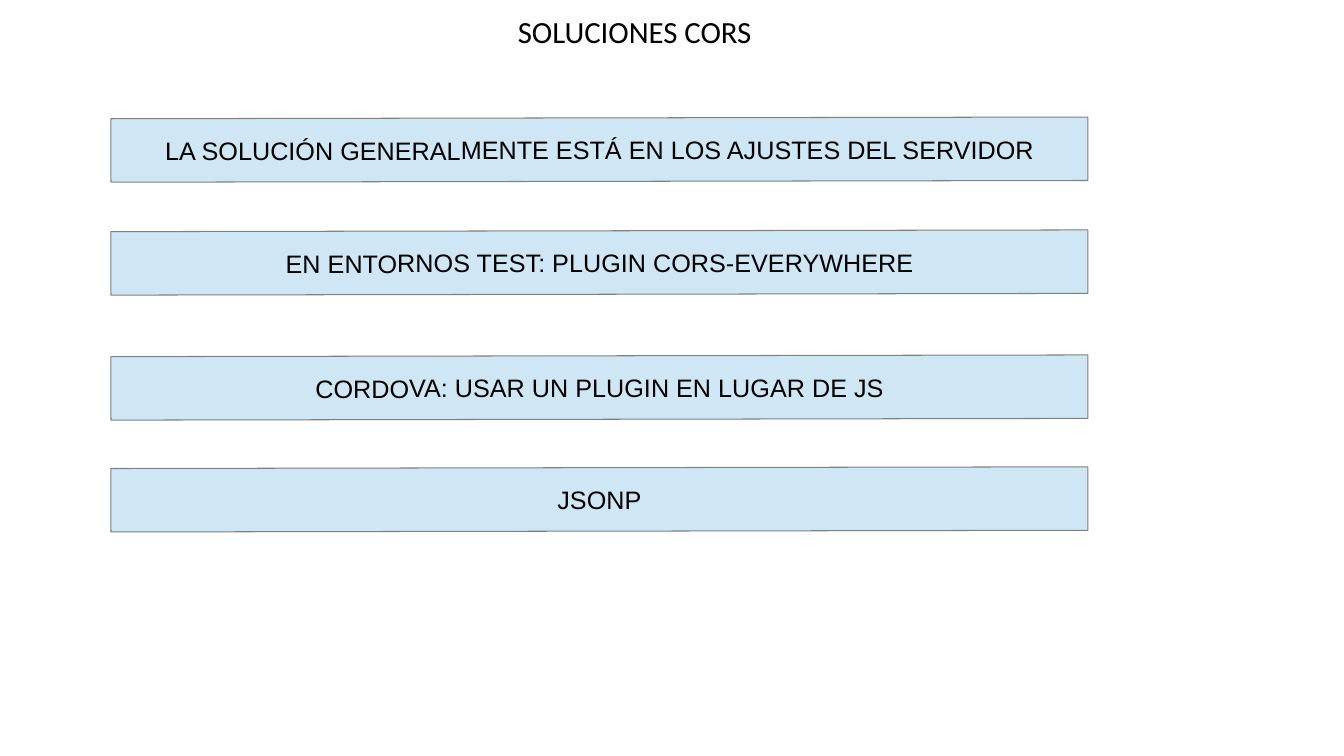
from pptx import Presentation
from pptx.dml.color import RGBColor
from pptx.enum import shapes, text
from pptx.util import Inches, Pt

COLORS = {"band": "CFE7F5", "outline": "808080", "ink": "000000"}

SOLUTIONS = [
    (1.17, "LA SOLUCIÓN GENERALMENTE ESTÁ EN LOS AJUSTES DEL SERVIDOR"),
    (2.29, "EN ENTORNOS TEST: PLUGIN CORS-EVERYWHERE"),
    (3.53, "CORDOVA: USAR UN PLUGIN EN LUGAR DE JS"),
    (4.64, "JSONP"),
]


def color(name):
    return RGBColor.from_string(COLORS[name])


def write_centered(frame, wording, font_name, size):
    frame.word_wrap = True
    paragraph = frame.paragraphs[0]
    paragraph.alignment = text.PP_ALIGN.CENTER
    run = paragraph.add_run()
    run.text = wording
    run.font.name = font_name
    run.font.size = Pt(size)
    run.font.color.rgb = color("ink")


def add_title(slide, wording):
    title = slide.shapes.add_textbox(
        Inches(3.86), Inches(0.08), Inches(4.87), Inches(0.47))
    title.rotation = 0.1
    write_centered(title.text_frame, wording, "Calibri", 22)


def add_solution(slide, top, wording):
    """Add one slightly tilted band holding a solution."""
    band = slide.shapes.add_shape(
        shapes.MSO_SHAPE.RECTANGLE,
        Inches(1.1), Inches(top), Inches(9.69), Inches(0.63))
    band.rotation = 359.9
    band.shadow.inherit = False
    band.fill.solid()
    band.fill.fore_color.rgb = color("band")
    band.line.color.rgb = color("outline")
    band.line.width = Pt(0)
    band.text_frame.vertical_anchor = text.MSO_ANCHOR.MIDDLE
    write_centered(band.text_frame, wording, "Arial", 18)


def main():
    deck = Presentation()
    deck.slide_width = Inches(13.33)
    deck.slide_height = Inches(7.5)
    slide = deck.slides.add_slide(deck.slide_layouts[6])
    add_title(slide, "SOLUCIONES CORS")
    for top, wording in SOLUTIONS:
        add_solution(slide, top, wording)
    deck.save("out.pptx")


if __name__ == "__main__":
    main()
